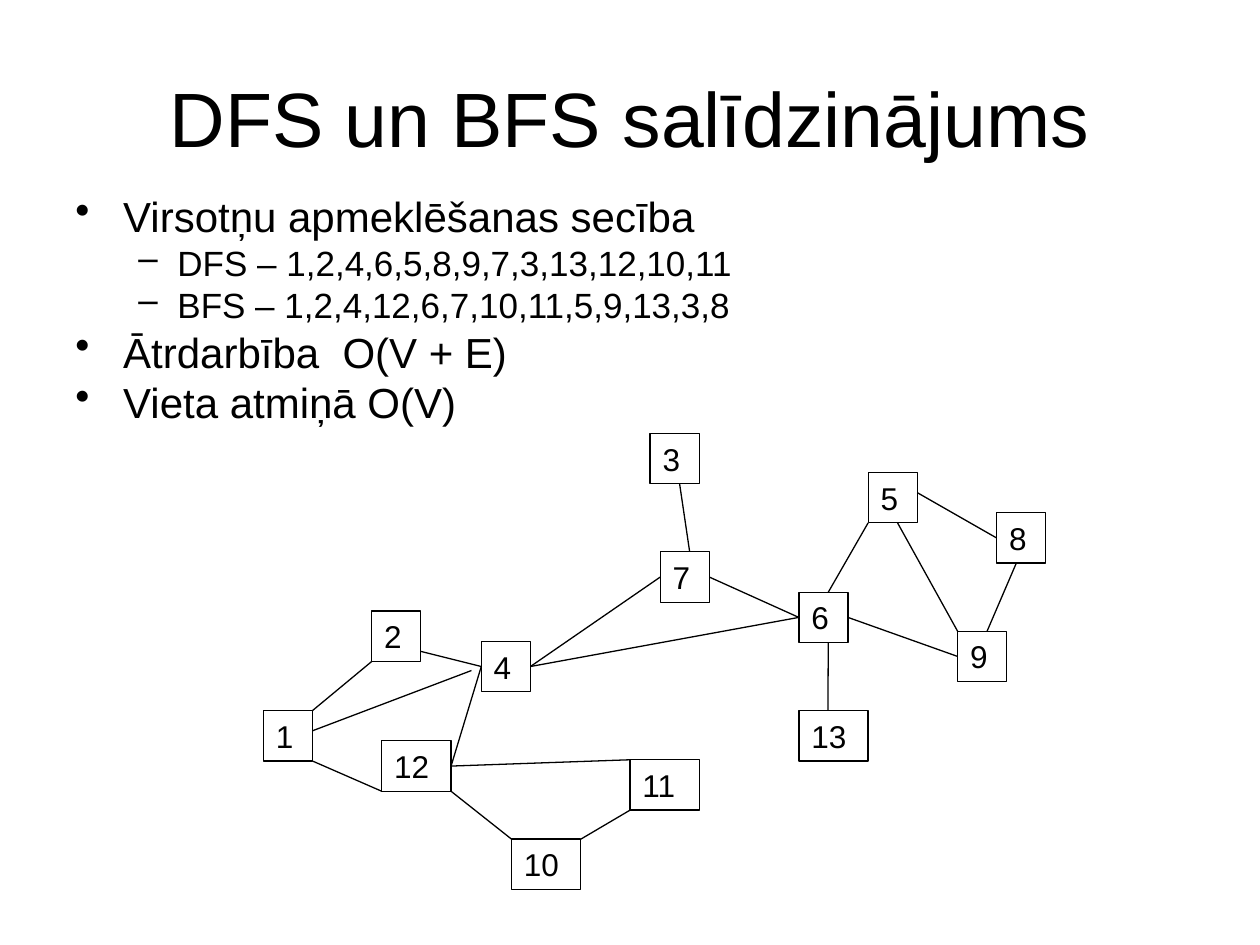
from typing import NamedTuple

from lxml.etree import SubElement
from pptx import Presentation
from pptx.dml.color import RGBColor
from pptx.enum.shapes import MSO_CONNECTOR, MSO_SHAPE
from pptx.enum.text import MSO_ANCHOR, PP_ALIGN
from pptx.oxml.ns import qn
from pptx.util import Inches, Pt

FONT = "Arial"
BLACK = "000000"
NODE_HEIGHT = 0.4
SIDES = {(0, 0.5): 1, (1, 0.5): 3}


class Node(NamedTuple):
    label: str
    left: float
    top: float

    @property
    def width(self) -> float:
        return 0.39 if len(self.label) == 1 else 0.55


class Port(NamedTuple):
    label: str
    across: float
    down: float


class Edge(NamedTuple):
    start: Port
    end: Port


class BulletStyle(NamedTuple):
    symbol: str
    margin: float
    hanging: float
    size: int
    space_before: int


class Bullet(NamedTuple):
    text: str
    level: int = 0


BULLET_STYLES = [
    BulletStyle("•", 0.38, 0.38, 24, 6),
    BulletStyle("–", 0.81, 0.31, 20, 5),
]

BULLETS = [
    Bullet("Virsotņu apmeklēšanas secība"),
    Bullet("DFS – 1,2,4,6,5,8,9,7,3,13,12,10,11", 1),
    Bullet("BFS – 1,2,4,12,6,7,10,11,5,9,13,3,8", 1),
    Bullet("Ātrdarbība  O(V + E)"),
    Bullet("Vieta atmiņā O(V)"),
]

NODES = [
    Node("1", 2.09, 5.64),
    Node("12", 3.03, 5.88),
    Node("4", 3.82, 5.09),
    Node("2", 2.95, 4.85),
    Node("3", 5.16, 3.44),
    Node("7", 5.24, 4.38),
    Node("5", 6.89, 3.75),
    Node("13", 6.34, 5.64),
    Node("6", 6.34, 4.7),
    Node("9", 7.6, 5.01),
    Node("8", 7.91, 4.07),
    Node("10", 4.06, 6.66),
    Node("11", 5, 6.03),
]

EDGES = [
    Edge(Port("1", 1, 0), Port("2", 0, 1)),
    Edge(Port("1", 1, 1), Port("12", 0, 1)),
    Edge(Port("1", 1, 0.4), Port("4", -0.2, 0.58)),
    Edge(Port("2", 1, 0.8), Port("4", 0, 0.5)),
    Edge(Port("12", 1, 0.5), Port("4", 0, 0.5)),
    Edge(Port("12", 1, 1), Port("10", 0, 0)),
    Edge(Port("10", 1, 0), Port("11", 0, 1)),
    Edge(Port("12", 1, 0.5), Port("11", 0, 0)),
    Edge(Port("4", 1, 0.5), Port("6", 0, 0.5)),
    Edge(Port("4", 1, 0.5), Port("7", 0, 0.5)),
    Edge(Port("3", 0.6, 1), Port("7", 0.6, 0)),
    Edge(Port("7", 1, 0.5), Port("6", 0, 0.5)),
    Edge(Port("6", 0.6, 0), Port("5", 0, 1)),
    Edge(Port("6", 0.6, 1), Port("13", 0.42, 0)),
    Edge(Port("6", 1, 0.5), Port("9", 0, 0.5)),
    Edge(Port("5", 1, 0.4), Port("8", 0, 0.5)),
    Edge(Port("5", 0.6, 1), Port("9", 0, 0)),
    Edge(Port("9", 0.6, 0), Port("8", 0.4, 1)),
]


def color(value: str) -> RGBColor:
    return RGBColor.from_string(value)


def style_text(para, size: int) -> None:
    for span in para.runs:
        span.font.name = FONT
        span.font.size = Pt(size)
        span.font.color.rgb = color(BLACK)


def style_line(line) -> None:
    line.color.rgb = color(BLACK)
    line.width = Pt(0.75)


def add_title(page, text: str) -> None:
    box = page.shapes.add_textbox(Inches(0.5), Inches(0.3), Inches(9), Inches(1.25))
    frame = box.text_frame
    frame.word_wrap = True
    frame.vertical_anchor = MSO_ANCHOR.MIDDLE
    frame.text = text
    para = frame.paragraphs[0]
    para.alignment = PP_ALIGN.CENTER
    style_text(para, 44)


def add_bullets(page, bullets: list[Bullet]) -> None:
    box = page.shapes.add_textbox(Inches(0.5), Inches(1.54), Inches(9), Inches(2.05))
    frame = box.text_frame
    frame.word_wrap = True
    frame.text = "\n".join(bullet.text for bullet in bullets)
    for index, (para, bullet) in enumerate(zip(frame.paragraphs, bullets)):
        style = BULLET_STYLES[bullet.level]
        properties = para._p.get_or_add_pPr()
        properties.set("marL", str(Inches(style.margin)))
        properties.set("indent", str(-Inches(style.hanging)))
        SubElement(properties, qn("a:buChar"), char=style.symbol)
        para.level = bullet.level
        para.line_spacing = 0.8
        para.space_before = Pt(style.space_before if index else 0)
        style_text(para, style.size)


def add_node(group, node: Node):
    box = group.shapes.add_shape(
        MSO_SHAPE.RECTANGLE,
        Inches(node.left), Inches(node.top), Inches(node.width), Inches(NODE_HEIGHT),
    )
    box.shadow.inherit = False
    box.fill.background()
    style_line(box.line)
    frame = box.text_frame
    frame.word_wrap = True
    frame.vertical_anchor = MSO_ANCHOR.TOP
    frame.text = node.label
    para = frame.paragraphs[0]
    para.alignment = PP_ALIGN.LEFT
    style_text(para, 18)
    return box


def locate(port: Port, boxes: dict) -> tuple[int, int]:
    box = boxes[port.label]
    return (
        round(box.left + port.across * box.width),
        round(box.top + port.down * box.height),
    )


def add_edge(group, edge: Edge, boxes: dict) -> None:
    connector = group.shapes.add_connector(
        MSO_CONNECTOR.STRAIGHT, *locate(edge.start, boxes), *locate(edge.end, boxes)
    )
    style_line(connector.line)
    SubElement(connector._element.spPr, qn("a:effectLst"))
    joins = [(edge.start, connector.begin_connect), (edge.end, connector.end_connect)]
    for port, connect in joins:
        side = SIDES.get((port.across, port.down))
        if side is not None:
            connect(boxes[port.label], side)


def main() -> None:
    deck = Presentation()
    deck.slide_width, deck.slide_height = Inches(10), Inches(7.5)
    page = deck.slides.add_slide(deck.slide_layouts[6])
    add_title(page, "DFS un BFS salīdzinājums")
    add_bullets(page, BULLETS)
    graph = page.shapes.add_group_shape()
    boxes = {node.label: add_node(graph, node) for node in NODES}
    for edge in EDGES:
        add_edge(graph, edge, boxes)
    deck.save("out.pptx")


if __name__ == "__main__":
    main()
